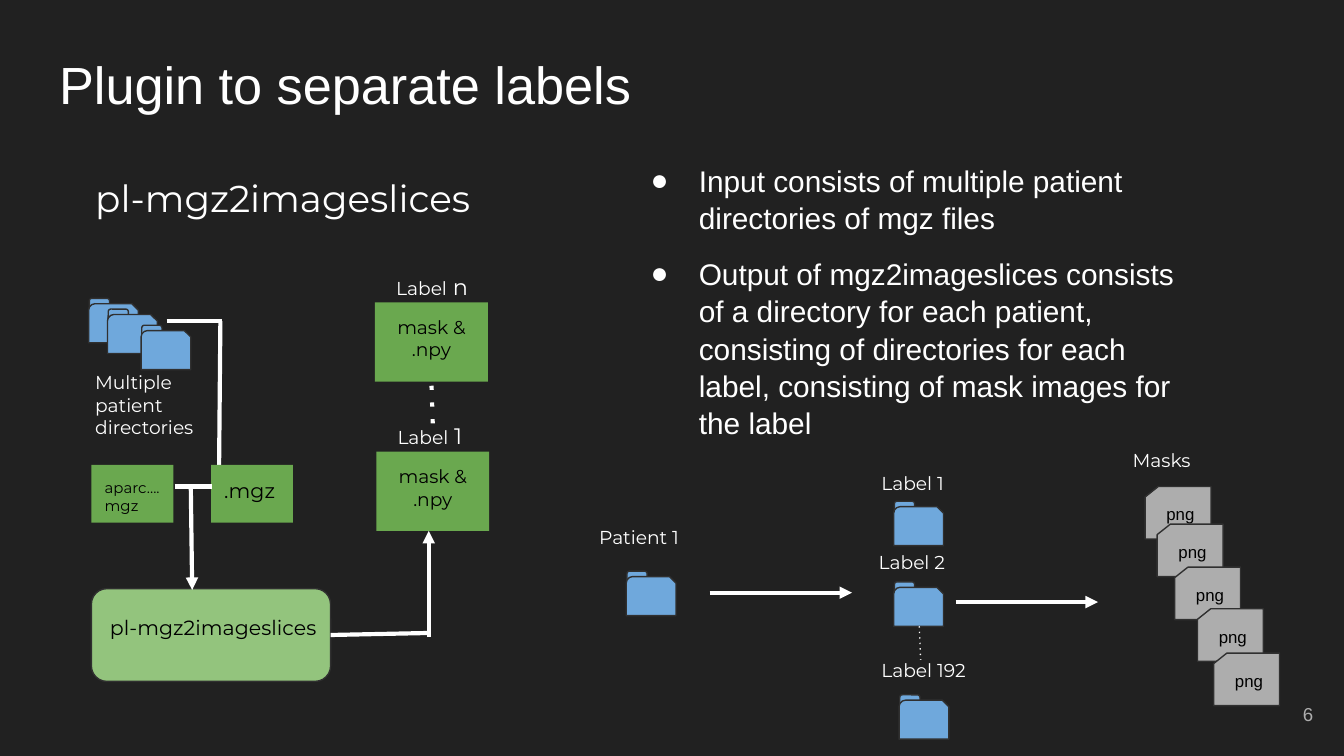
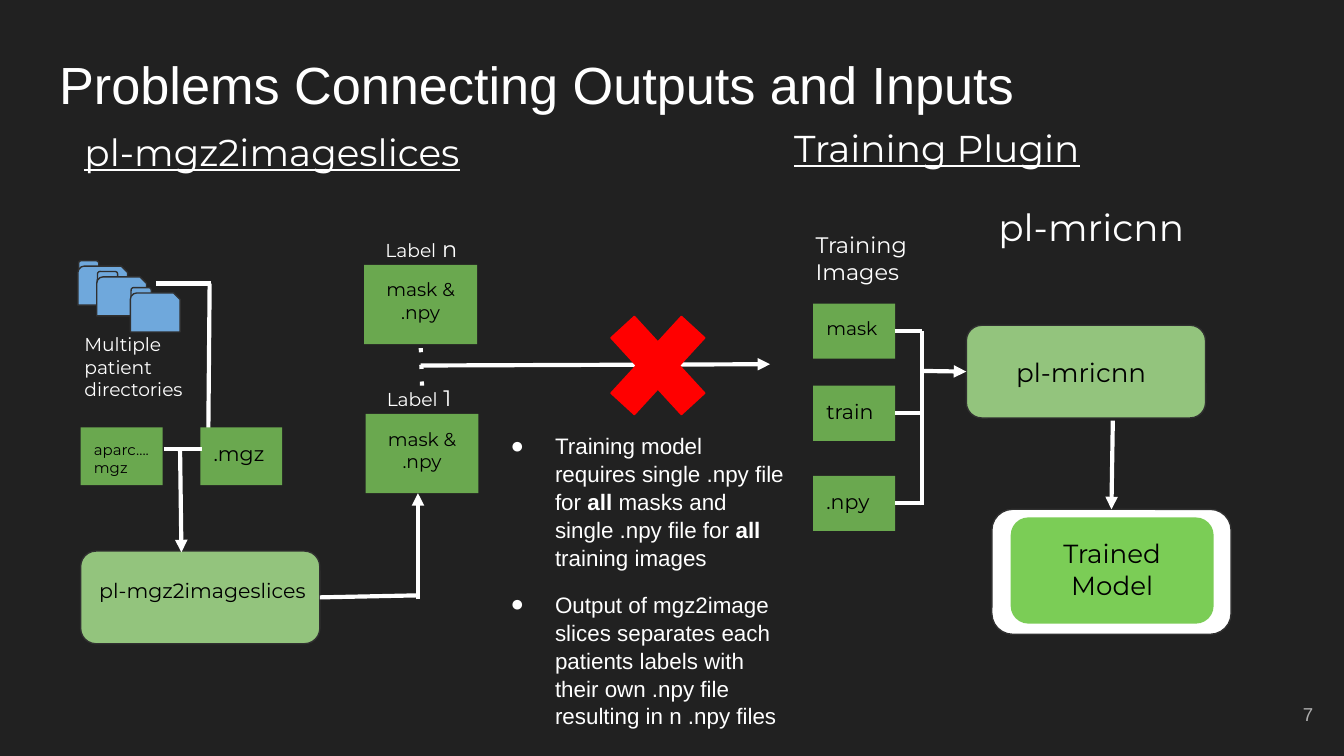
"""Build two slides on a label-separating plugin and its link to training."""
from dataclasses import dataclass, replace
from typing import NamedTuple, Optional

from lxml.etree import SubElement
from pptx import Presentation
from pptx.dml.color import RGBColor
from pptx.enum.dml import MSO_LINE
from pptx.enum.shapes import MSO_CONNECTOR as Connector, MSO_SHAPE as Preset
from pptx.enum.text import MSO_ANCHOR as Anchor, MSO_AUTO_SIZE as AutoSize, PP_ALIGN as Align
from pptx.oxml.ns import qn
from pptx.util import Emu, Inches, Pt

SLIDE_WIDTH, SLIDE_HEIGHT = Inches(10), Inches(5.625)
COLUMNS, ROWS = 100, 56.25
TOP, LEFT, BOTTOM, RIGHT = 0, 1, 2, 3


@dataclass(frozen=True)
class TextStyle:
    """Type settings; accent fields apply to every second piece of a line."""
    size: float
    color: str = "FFFFFF"
    font: str = "Montserrat"
    align: Align = Align.LEFT
    anchor: Anchor = Anchor.TOP
    underline: bool = False
    accent_size: Optional[float] = None
    accent_bold: bool = False


@dataclass(frozen=True)
class Theme:
    """Colours and type styles of the whole presentation."""
    background: str = "212121"
    white: str = "FFFFFF"
    outline: str = "303030"
    folder: str = "6FA8DC"
    data: str = "6AA84F"
    engine: str = "93C47D"
    model: str = "7BCD56"
    card: str = "ADADAD"
    cross: str = "FF0000"
    title: TextStyle = TextStyle(28, font="Arial")
    body: TextStyle = TextStyle(16, font="Arial")
    small_body: TextStyle = TextStyle(12, font="Arial", accent_bold=True)
    heading: TextStyle = TextStyle(20)
    underlined: TextStyle = TextStyle(20, underline=True)
    subheading: TextStyle = TextStyle(12)
    caption: TextStyle = TextStyle(10, accent_size=12)
    engine_text: TextStyle = TextStyle(11, "000000")
    data_text: TextStyle = TextStyle(10, "000000")
    data_centred: TextStyle = TextStyle(10, "000000", align=Align.CENTER)
    data_small: TextStyle = TextStyle(8, "000000")
    model_text: TextStyle = TextStyle(14, "000000", align=Align.CENTER)
    card_text: TextStyle = TextStyle(9, "000000", "Arial")
    number: TextStyle = TextStyle(10, "ADADAD", "Arial", Align.RIGHT, Anchor.MIDDLE)


THEME = Theme()


class Point(NamedTuple):
    """A place in grid columns and rows."""
    column: float
    row: float


class Box(NamedTuple):
    """A rectangle in grid columns and rows."""
    left: float
    top: float
    width: float
    height: float


class Node(NamedTuple):
    """A preset shape, or a plain text box when it has no preset."""
    box: Box
    lines: tuple[str, ...] = ()
    style: TextStyle = THEME.caption
    preset: Optional[Preset] = None
    fill: str = THEME.data
    outline: Optional[str] = None
    adjustment: Optional[float] = None
    name: str = ""


class Link(NamedTuple):
    """A straight line, optionally joined to sides of named nodes."""
    start: Point
    end: Point
    arrow: bool = False
    dotted: bool = False
    width: float = 2.25
    start_on: Optional[tuple[str, int]] = None
    end_on: Optional[tuple[str, int]] = None


ORIGIN = Point(0, 0)
PIPELINE_SHIFT = Point(-0.8, -2.8)
TITLE_BOX = Box(3.4, 2.9, 93.2, 6.3)
NUMBER_BOX = Box(92.7, 51, 6, 4.3)


def data_node(box: Box, lines: tuple[str, ...], style: TextStyle, name: str = "") -> Node:
    """Describe a green data rectangle."""
    return Node(box, lines, style, Preset.RECTANGLE, name=name)


def engine_node(box: Box, name: str, fill: str = THEME.engine,
                outline: Optional[str] = THEME.outline) -> Node:
    """Describe a rounded processing block."""
    return Node(box, preset=Preset.ROUNDED_RECTANGLE, fill=fill, outline=outline, name=name)


PIPELINE_BACK = (Link(Point(16.3, 34.9), Point(16.4, 23.9)),)
PIPELINE_FOLDERS = (Point(6.6, 22.6), Point(8, 23.4), Point(10.5, 24.6))
PIPELINE_NODES = (
    engine_node(Box(6.8, 43.8, 17.8, 6.9), "engine"),
    Node(Box(7.2, 44.8, 18.4, 5.6), ("pl-mgz2imageslices",), THEME.engine_text),
    Node(Box(6.1, 26.6, 10.1, 6.5), ("Multiple patient", "directories")),
    data_node(Box(15.7, 34.6, 6.1, 4.3), (".mgz",), THEME.engine_text),
    data_node(Box(6.8, 34.6, 6.1, 4.3), ("aparc....mgz",), THEME.data_small),
    data_node(Box(28, 33.6, 8.4, 5.9), ("mask &", ".npy"), THEME.data_centred),
    data_node(Box(27.9, 22.5, 8.4, 5.9), ("mask &", ".npy"), THEME.data_centred, "last label"),
    Node(Box(28.6, 30.4, 7.7, 4.1), ("Label| 1",)),
    Node(Box(28.5, 19.3, 7.7, 4.1), ("Label| n",)),
)
PIPELINE_LINKS = (
    Link(Point(12.4, 23.9), Point(16.5, 23.9)),
    Link(Point(31.9, 47.4), Point(31.9, 39.5), arrow=True),
    Link(Point(24.7, 47.2), Point(31.9, 47.1), start_on=("engine", RIGHT)),
    Link(Point(32.2, 31.5), Point(32.2, 28.5), dotted=True, end_on=("last label", BOTTOM)),
    Link(Point(13, 36.2), Point(15.8, 36.2)),
    Link(Point(14.2, 36.3), Point(14.3, 43.9), arrow=True),
)

OUTPUT_FOLDERS = (Point(46.6, 42.9), Point(66.5, 43.7), Point(66.9, 52.1), Point(66.5, 37.7))
OUTPUT_CARDS = (Point(85.2, 36.2), Point(86.1, 39), Point(87.4, 42.2), Point(89.1, 45.3),
                Point(90.3, 48.6))
OUTPUT_NODES = (
    Node(Box(6.1, 12, 30.5, 4.5), ("pl-mgz2imageslices",), THEME.heading),
    Node(Box(43.6, 38.1, 9.1, 4.1), ("Patient 1",)),
    Node(Box(64.6, 34.1, 7.7, 4.1), ("Label 1",)),
    Node(Box(64.4, 40, 9.7, 4.1), ("Label 2",)),
    Node(Box(64.6, 48, 9.7, 4.1), ("Label 192",)),
    Node(Box(83.3, 32.4, 9.7, 4.1), ("Masks",)),
)
OUTPUT_LINKS = (
    Link(Point(52.8, 44.1), Point(63.4, 44.1), arrow=True),
    Link(Point(68.4, 46.6), Point(68.5, 49.1), dotted=True, width=0.75),
    Link(Point(71.1, 44.8), Point(81.7, 44.8), arrow=True),
)
OUTPUT_POINTS = (
    "Input consists of multiple patient directories of mgz files",
    "Output of mgz2imageslices consists of a directory for each patient, consisting of "
    "directories for each label, consisting of mask images for the label",
)

BROKEN_LINK = (Link(Point(31.3, 27.2), Point(57.3, 27.1), arrow=True),)
TRAINING_NODES = (
    engine_node(Box(73.8, 37.9, 17.8, 9.3), "model frame", THEME.white),
    engine_node(Box(75.2, 38.5, 15.1, 7.9), "model", THEME.model, None),
    engine_node(Box(71.9, 24.2, 17.8, 6.9), "trainer"),
    Node(Box(77.5, 39, 10.5, 5), ("Trained Model",), THEME.model_text),
    Node(Box(71.9, 25.5, 17.1, 5), ("pl-mricnn",), THEME.model_text),
    data_node(Box(60.5, 22.6, 6.1, 4.1), ("mask",), THEME.data_text, "mask"),
    data_node(Box(60.5, 28.7, 6.1, 4.1), ("train",), THEME.engine_text, "train"),
    data_node(Box(60.5, 35.4, 6.1, 4.1), (".npy",), THEME.engine_text, "array"),
    Node(Box(5.3, 8.6, 30.5, 4.5), ("pl-mgz2imageslices",), THEME.underlined),
    Node(Box(58.1, 8.3, 30.5, 4.5), ("Training Plugin",), THEME.underlined),
    Node(Box(59.7, 16.2, 9, 4.5), ("Training Images",), THEME.subheading),
    Node(Box(73.3, 14.2, 17.1, 5), ("pl-mricnn",), THEME.heading),
    Node(Box(43.9, 21.7, 10.1, 11), preset=Preset.MATH_MULTIPLY, fill=THEME.cross,
         outline=THEME.cross, adjustment=0.235),
)
TRAINING_LINKS = (
    Link(Point(68.6, 27.6), Point(71.9, 27.6), arrow=True, end_on=("trainer", LEFT)),
    Link(Point(82.8, 31.3), Point(82.8, 37.7), arrow=True, end_on=("model frame", TOP)),
    Link(Point(68.6, 37.6), Point(68.6, 24.6)),
) + tuple(
    Link(Point(66.6, row), Point(68.6, row), start_on=(name, RIGHT))
    for name, row in (("mask", 24.65), ("train", 30.75), ("array", 37.45))
)
TRAINING_POINTS = (
    "Training model requires single .npy file for |all| masks and single .npy file for "
    "|all| training images",
    "Output of mgz2image slices separates each patients labels with their own .npy file "
    "resulting in n .npy files",
)


def across(columns: float) -> Emu:
    """Turn grid columns into a length."""
    return Emu(round(SLIDE_WIDTH * columns / COLUMNS))


def down(rows: float) -> Emu:
    """Turn grid rows into a length."""
    return Emu(round(SLIDE_HEIGHT * rows / ROWS))


def place(box: Box, offset: Point = ORIGIN) -> tuple[Emu, Emu, Emu, Emu]:
    """Turn a grid box into left, top, width and height."""
    return (across(box.left + offset.column), down(box.top + offset.row),
            across(box.width), down(box.height))


def write(text_frame, lines: tuple[str, ...], style: TextStyle) -> None:
    """Write one paragraph per line, with pieces between bars accented."""
    text_frame.word_wrap = True
    text_frame.auto_size = AutoSize.NONE
    text_frame.vertical_anchor = style.anchor
    text_frame.margin_left = text_frame.margin_right = Inches(0.1)
    text_frame.margin_top = text_frame.margin_bottom = Inches(0.1)
    text_frame.text = "\n".join(lines)
    for paragraph, line in zip(text_frame.paragraphs, lines):
        first, *others = line.split("|")
        paragraph.text = first
        for piece in others:
            paragraph.add_run().text = piece
        paragraph.alignment = style.align
        for index, run in enumerate(paragraph.runs):
            accented = index % 2 == 1
            run.font.name = style.font
            run.font.size = Pt(style.accent_size if accented and style.accent_size else style.size)
            run.font.bold = accented and style.accent_bold
            run.font.underline = style.underline
            run.font.color.rgb = RGBColor.from_string(style.color)


def draw_node(shapes, node: Node, offset: Point = ORIGIN):
    """Draw a node and return its shape."""
    if node.preset is None:
        shape = shapes.add_textbox(*place(node.box, offset))
    else:
        shape = shapes.add_shape(node.preset, *place(node.box, offset))
        shape.shadow.inherit = False
        shape.fill.solid()
        shape.fill.fore_color.rgb = RGBColor.from_string(node.fill)
        if node.outline:
            shape.line.color.rgb = RGBColor.from_string(node.outline)
            shape.line.width = Pt(0.75)
        else:
            shape.line.fill.background()
        if node.adjustment is not None:
            shape.adjustments[0] = node.adjustment
    if node.lines:
        write(shape.text_frame, node.lines, node.style)
    return shape


def draw_link(slide, link: Link, named: dict, offset: Point = ORIGIN) -> None:
    """Draw a straight connector and join it to its nodes."""
    ends = [length for point in (link.start, link.end)
            for length in (across(point.column + offset.column), down(point.row + offset.row))]
    connector = slide.shapes.add_connector(Connector.STRAIGHT, *ends)
    if link.start_on:
        connector.begin_connect(named[link.start_on[0]], link.start_on[1])
    if link.end_on:
        connector.end_connect(named[link.end_on[0]], link.end_on[1])
    connector.line.color.rgb = RGBColor.from_string(THEME.white)
    connector.line.width = Pt(link.width)
    if link.dotted:
        connector.line.dash_style = MSO_LINE.ROUND_DOT
        connector.line._ln.find(qn("a:prstDash")).set("val", "dot")
    if link.arrow:
        SubElement(connector.line._ln, qn("a:tailEnd")).set("type", "triangle")
    SubElement(connector._element.spPr, qn("a:effectLst"))


def draw_diagram(slide, nodes: tuple[Node, ...], links: tuple[Link, ...],
                 offset: Point = ORIGIN) -> None:
    """Draw nodes, then the links between them."""
    named = {node.name: draw_node(slide.shapes, node, offset) for node in nodes}
    for link in links:
        draw_link(slide, link, named, offset)


def draw_folder(slide, corner: Point, offset: Point = ORIGIN) -> None:
    """Draw a folder: a tab behind a snipped sheet."""
    group = slide.shapes.add_group_shape()
    sheet = Node(Box(*corner, 3.7, 2.9), preset=Preset.SNIP_ROUND_RECTANGLE,
                 fill=THEME.folder, outline=THEME.outline)
    tab = sheet._replace(box=Box(corner.column + 0.05, corner.row - 0.4, 1.5, 1.1),
                         preset=Preset.ROUNDED_RECTANGLE)
    for node in (tab, sheet):
        draw_node(group.shapes, node, offset)


def draw_card(slide, corner: Point) -> None:
    """Draw a mask card with its file type."""
    group = slide.shapes.add_group_shape()
    draw_node(group.shapes, Node(Box(*corner, 4.9, 3.9), preset=Preset.FLOWCHART_CARD,
                                 fill=THEME.card, outline=THEME.outline))
    draw_node(group.shapes, Node(Box(corner.column + 0.6, corner.row + 0.3, 5.2, 2.5),
                                 ("png",), THEME.card_text))


def draw_pipeline(slide, offset: Point = ORIGIN) -> None:
    """Draw the flow from patient directories to label masks."""
    draw_diagram(slide, (), PIPELINE_BACK, offset)
    draw_diagram(slide, PIPELINE_NODES, PIPELINE_LINKS, offset)
    for corner in PIPELINE_FOLDERS:
        draw_folder(slide, corner, offset)


def start_slide(presentation, title: str, number: int, points: tuple[str, ...],
                body_box: Box, style: TextStyle, indent: float):
    """Add a slide with its title, bulleted body and number."""
    slide = presentation.slides.add_slide(presentation.slide_layouts[1])
    body = slide.placeholders[1]
    for shape, box in ((slide.shapes.title, TITLE_BOX), (body, body_box)):
        shape.left, shape.top, shape.width, shape.height = place(box)
    write(slide.shapes.title.text_frame, (title,), THEME.title)
    write(body.text_frame, points, style)
    for paragraph in body.text_frame.paragraphs:
        paragraph.space_before = Pt(10)
        paragraph.line_spacing = 1.04
        properties = paragraph._p.get_or_add_pPr()
        properties.set("marL", str(Inches(0.5)))
        properties.set("indent", str(-Inches(indent)))
        bullet_color = SubElement(properties, qn("a:buClr"))
        SubElement(bullet_color, qn("a:srgbClr")).set("val", style.color)
        SubElement(properties, qn("a:buChar")).set("char", "●")
    draw_node(slide.shapes, Node(NUMBER_BOX, (str(number),), THEME.number))
    return slide


def main() -> None:
    """Build and save the presentation."""
    presentation = Presentation()
    presentation.slide_width, presentation.slide_height = SLIDE_WIDTH, SLIDE_HEIGHT
    background = presentation.slide_master.background.fill
    background.solid()
    background.fore_color.rgb = RGBColor.from_string(THEME.background)

    output = start_slide(presentation, "Plugin to separate labels", 6, OUTPUT_POINTS,
                         Box(46, 11, 42.4, 36.1), THEME.body, 0.36)
    draw_pipeline(output)
    for corner in OUTPUT_FOLDERS:
        draw_folder(output, corner)
    draw_diagram(output, OUTPUT_NODES, OUTPUT_LINKS)
    for corner in OUTPUT_CARDS:
        draw_card(output, corner)

    training = start_slide(presentation, "Problems Connecting Outputs and Inputs", 7,
                           TRAINING_POINTS, Box(35.3, 31.1, 24.2, 19), THEME.small_body, 0.33)
    draw_diagram(training, (), BROKEN_LINK)
    draw_pipeline(training, PIPELINE_SHIFT)
    draw_diagram(training, TRAINING_NODES, TRAINING_LINKS)
    presentation.save("out.pptx")


if __name__ == "__main__":
    main()
